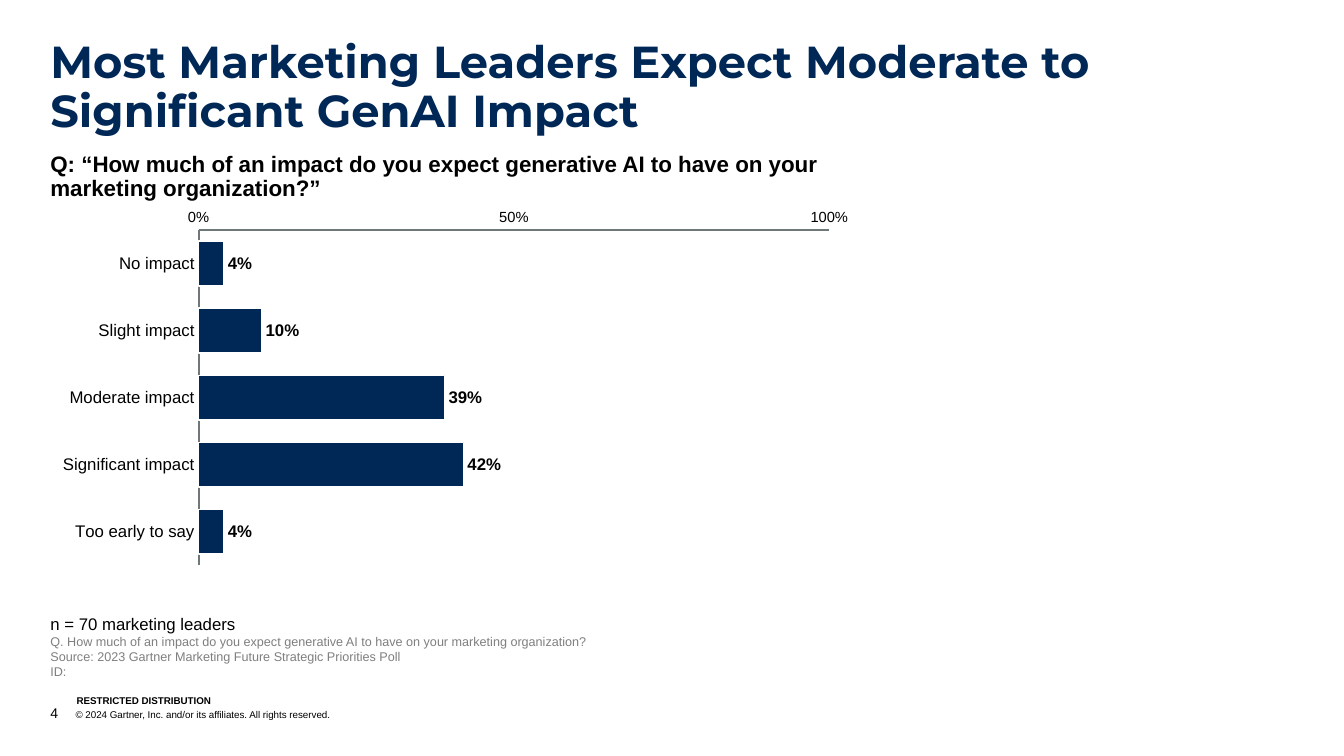
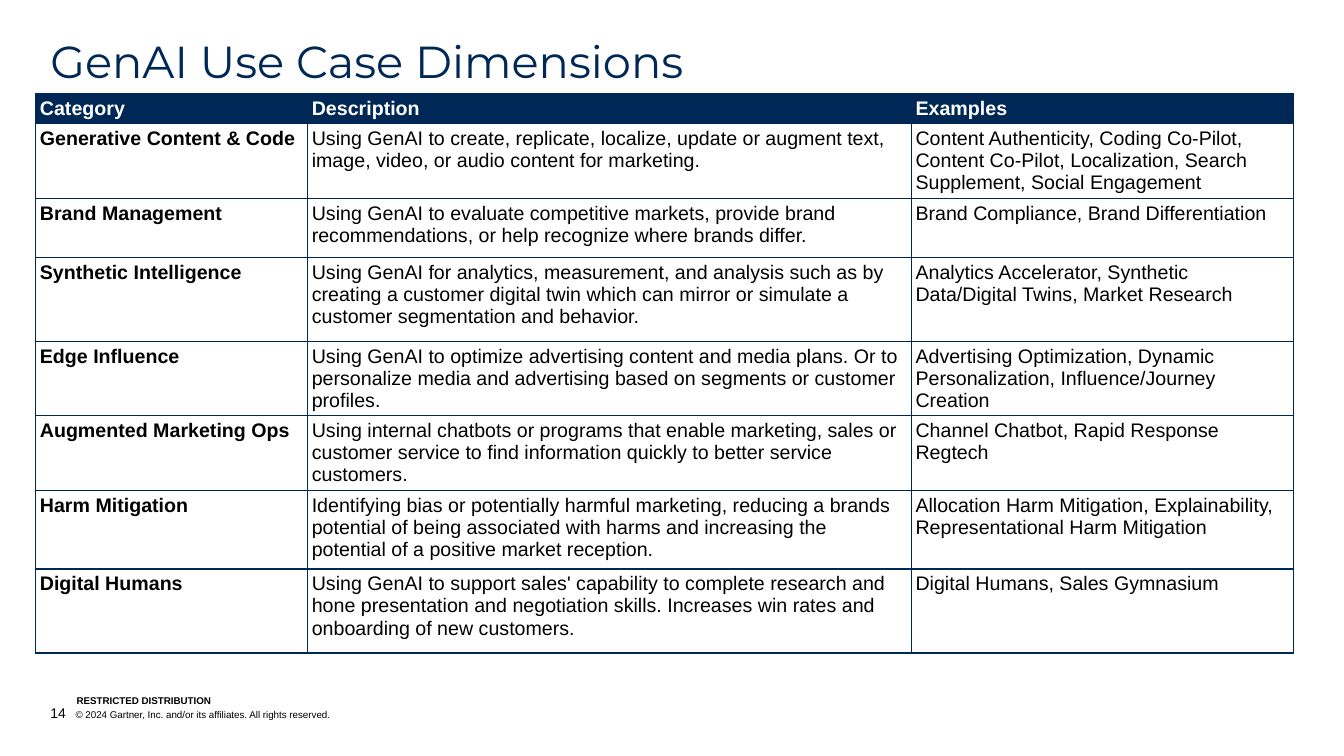
from dataclasses import dataclass
from typing import NamedTuple

from lxml.etree import SubElement
from pptx import Presentation
from pptx.chart.data import CategoryChartData
from pptx.dml.color import RGBColor
from pptx.enum.chart import XL_AXIS_CROSSES as Crosses
from pptx.enum.chart import XL_CHART_TYPE as ChartType
from pptx.enum.chart import XL_LABEL_POSITION as LabelPosition
from pptx.enum.chart import XL_TICK_MARK as TickMark
from pptx.enum.text import MSO_ANCHOR as Anchor
from pptx.enum.text import MSO_AUTO_SIZE as AutoSize
from pptx.enum.text import PP_ALIGN as Align
from pptx.oxml import parse_xml
from pptx.oxml.ns import nsdecls, qn
from pptx.util import Emu, Pt

# Shared style
NAVY = RGBColor(0x00, 0x28, 0x56)
BLACK = RGBColor(0x00, 0x00, 0x00)
WHITE = RGBColor(0xFF, 0xFF, 0xFF)
GREY = RGBColor(0x7F, 0x7F, 0x7F)
AXIS_GREY = RGBColor(0x6F, 0x78, 0x78)
BODY_FONT = "Arial"
TITLE_FONT = "Montserrat"
EMU_PER_PX = 9525
MARGIN = 48
COPYRIGHT = "© 2024 Gartner, Inc. and/or its affiliates. All rights reserved."


class Box(NamedTuple):
    left: int
    top: int
    width: int
    height: int

    def emu(self) -> list[Emu]:
        return [px(length) for length in self]


@dataclass(frozen=True)
class Line:
    text: str
    size: float
    color: RGBColor = BLACK
    bold: bool = False
    spacing: float = 1.0
    font: str = BODY_FONT


class UseCase(NamedTuple):
    category: str
    description: str
    examples: str
    height: int


def px(length: int) -> Emu:
    return Emu(length * EMU_PER_PX)


def style_font(font, size: float, color: RGBColor = BLACK, bold: bool = False,
               name: str = BODY_FONT) -> None:
    font.name = name
    font.size = Pt(size)
    font.bold = bold
    font.color.rgb = color


def write_line(paragraph, line: Line) -> None:
    paragraph.text = line.text
    paragraph.alignment = Align.LEFT
    paragraph.line_spacing = line.spacing
    style_font(paragraph.font, line.size, line.color, line.bold, line.font)


def set_frame(frame, anchor: Anchor, left: int = 0, other: int = 0) -> None:
    frame.word_wrap = True
    frame.auto_size = AutoSize.NONE
    frame.vertical_anchor = anchor
    frame.margin_left = px(left)
    frame.margin_top = frame.margin_right = frame.margin_bottom = px(other)


def add_text(slide, box: Box, lines: list[Line], anchor: Anchor = Anchor.TOP,
             inset: int = 0) -> None:
    frame = slide.shapes.add_textbox(*box.emu()).text_frame
    set_frame(frame, anchor, other=inset)
    for index, line in enumerate(lines):
        paragraph = frame.add_paragraph() if index else frame.paragraphs[0]
        write_line(paragraph, line)


def add_footer(slide, page: int) -> None:
    add_text(slide, Box(73, 661, 243, 12),
             [Line("RESTRICTED DISTRIBUTION", 7, bold=True)], Anchor.BOTTOM)
    frame = slide.shapes.add_textbox(*Box(MARGIN, 671, 767, 16).emu()).text_frame
    set_frame(frame, Anchor.BOTTOM)
    paragraph = frame.paragraphs[0]
    properties = paragraph._p.get_or_add_pPr()
    properties.set("marL", str(px(24)))
    properties.set("indent", str(px(-24)))
    style_font(paragraph.font, 7)
    number = paragraph.add_run()
    number.text = str(page)
    number.font.size = Pt(10)
    paragraph.add_run().text = "\t" + COPYRIGHT


def add_titled_slide(presentation, title: str, page: int, height: int,
                     bold: bool = False):
    slide = presentation.slides.add_slide(presentation.slide_layouts[5])
    shape = slide.shapes.title
    shape.left, shape.top, shape.width, shape.height = Box(MARGIN, 38, 1184, height).emu()
    set_frame(shape.text_frame, Anchor.TOP)
    write_line(shape.text_frame.paragraphs[0],
               Line(title, 32, NAVY, bold, 0.9, TITLE_FONT))
    add_footer(slide, page)
    return slide


# Survey slide
QUESTION = "How much of an impact do you expect generative AI to have on your marketing organization?"
ANSWERS = {
    "No impact": 0.04,
    "Slight impact": 0.10,
    "Moderate impact": 0.39,
    "Significant impact": 0.42,
    "Too early to say": 0.04,
}
PLOT_LAYOUT = {"x": 0.176, "y": 0.075, "w": 0.749, "h": 0.854}


def set_plot_layout(chart) -> None:
    plot_area = chart._chartSpace.find(".//" + qn("c:plotArea"))
    for old_layout in plot_area.findall(qn("c:layout")):
        plot_area.remove(old_layout)
    layout = parse_xml(f"<c:layout {nsdecls('c')}><c:manualLayout/></c:layout>")
    settings = {"layoutTarget": "inner", "xMode": "edge", "yMode": "edge", **PLOT_LAYOUT}
    for tag, value in settings.items():
        SubElement(layout[0], qn(f"c:{tag}")).set("val", str(value))
    plot_area.insert(0, layout)


def style_axis(axis, size: float) -> None:
    axis.has_major_gridlines = False
    axis.major_tick_mark = axis.minor_tick_mark = TickMark.NONE
    axis.format.line.color.rgb = AXIS_GREY
    axis.format.line.width = Pt(1.57)
    style_font(axis.tick_labels.font, size)


def add_answer_chart(slide, box: Box) -> None:
    data = CategoryChartData(number_format="0%")
    data.categories = list(ANSWERS)
    data.add_series("Series 1", list(ANSWERS.values()))
    chart = slide.shapes.add_chart(ChartType.BAR_CLUSTERED, *box.emu(), data).chart
    chart.has_legend = False
    chart.has_title = False
    style_font(chart.font, 10.5)
    set_plot_layout(chart)

    # Axes
    style_axis(chart.category_axis, 12)
    chart.category_axis.reverse_order = True
    chart.category_axis.crosses = Crosses.MAXIMUM
    value_axis = chart.value_axis
    style_axis(value_axis, 10.5)
    value_axis.minimum_scale, value_axis.maximum_scale = 0, 1
    value_axis.major_unit = 0.5
    value_axis.tick_labels.number_format = "0%"
    value_axis.tick_labels.number_format_is_linked = False

    # Bars and labels
    plot = chart.plots[0]
    plot.gap_width = 50
    plot.vary_by_categories = False
    bars = plot.series[0]
    bars.format.fill.solid()
    bars.format.fill.fore_color.rgb = NAVY
    bars.format.line.color.rgb = WHITE
    bars.format.line.width = Pt(1)
    labels = bars.data_labels
    labels.show_value = True
    labels.position = LabelPosition.OUTSIDE_END
    labels.number_format = "0%"
    labels.number_format_is_linked = False
    style_font(labels.font, 12, bold=True)


def build_survey_slide(presentation) -> None:
    slide = add_titled_slide(
        presentation, "Most Marketing Leaders Expect Moderate to Significant GenAI Impact",
        page=4, height=74, bold=True)
    add_answer_chart(slide, Box(MARGIN, 191, 802, 374))
    question = Line(f"Q: “{QUESTION}”", 16, bold=True, spacing=0.9)
    add_text(slide, Box(MARGIN, 136, 768, 66), [question], inset=10)
    notes = [
        Line("n = 70 marketing leaders", 12),
        Line(f"Q. {QUESTION}", 9, GREY),
        Line("Source: 2023 Gartner Marketing Future Strategic Priorities Poll", 9, GREY),
        Line("ID:", 9, GREY),
    ]
    add_text(slide, Box(MARGIN, 574, 768, 83), notes, Anchor.BOTTOM, inset=10)


# Use case slide
COLUMN_WIDTHS = (259, 575, 364)
USE_CASES = [
    UseCase("Category", "Description", "Examples", 29),
    UseCase("Generative Content & Code",
            "Using GenAI to create, replicate, localize, update or augment text, image, "
            "video, or audio content for marketing.",
            "Content Authenticity, Coding Co-Pilot, Content Co-Pilot, Localization, "
            "Search Supplement, Social Engagement", 71),
    UseCase("Brand Management",
            "Using GenAI to evaluate competitive markets, provide brand recommendations, "
            "or help recognize where brands differ.",
            "Brand Compliance, Brand Differentiation", 56),
    UseCase("Synthetic Intelligence",
            "Using GenAI for analytics, measurement, and analysis such as by creating a "
            "customer digital twin which can mirror or simulate a customer segmentation "
            "and behavior.",
            "Analytics Accelerator, Synthetic Data/Digital Twins, Market Research", 80),
    UseCase("Edge Influence",
            "Using GenAI to optimize advertising content and media plans. Or to "
            "personalize media and advertising based on segments or customer profiles.",
            "Advertising Optimization, Dynamic Personalization, Influence/Journey Creation",
            71),
    UseCase("Augmented Marketing Ops",
            "Using internal chatbots or programs that enable marketing, sales or customer "
            "service to find information quickly to better service customers.",
            "Channel Chatbot, Rapid Response Regtech", 71),
    UseCase("Harm Mitigation",
            "Identifying bias or potentially harmful marketing, reducing a brands "
            "potential of being associated with harms and increasing the potential of a "
            "positive market reception.",
            "Allocation Harm Mitigation, Explainability, Representational Harm Mitigation",
            75),
    UseCase("Digital Humans",
            "Using GenAI to support sales' capability to complete research and hone "
            "presentation and negotiation skills. Increases win rates and onboarding of "
            "new customers.",
            "Digital Humans, Sales Gymnasium", 80),
]


def add_borders(cell) -> None:
    properties = cell._tc.get_or_add_tcPr()
    for side in "LRTB":
        properties.append(parse_xml(
            f'<a:ln{side} {nsdecls("a")} w="{Pt(1)}"><a:solidFill>'
            f'<a:srgbClr val="{NAVY}"/></a:solidFill></a:ln{side}>'))


def fill_cell(cell, text: str, is_header: bool, bold: bool) -> None:
    cell.margin_left = cell.margin_right = cell.margin_top = cell.margin_bottom = px(4)
    add_borders(cell)
    if is_header:
        cell.fill.solid()
        cell.fill.fore_color.rgb = NAVY
    else:
        cell.fill.background()
    write_line(cell.text_frame.paragraphs[0],
               Line(text, 14, WHITE if is_header else BLACK, bold))


def build_use_case_slide(presentation) -> None:
    slide = add_titled_slide(presentation, "GenAI Use Case Dimensions", page=14, height=47)
    box = Box(34, 89, sum(COLUMN_WIDTHS), sum(case.height for case in USE_CASES))
    table = slide.shapes.add_table(len(USE_CASES), len(COLUMN_WIDTHS), *box.emu()).table
    table.horz_banding = False
    for column, width in zip(table.columns, COLUMN_WIDTHS):
        column.width = px(width)
    for row_index, (row, case) in enumerate(zip(table.rows, USE_CASES)):
        row.height = px(case.height)
        is_header = row_index == 0
        texts = (case.category, case.description, case.examples)
        for column_index, (cell, text) in enumerate(zip(row.cells, texts)):
            fill_cell(cell, text, is_header, bold=is_header or column_index == 0)


def main() -> None:
    presentation = Presentation()
    presentation.slide_width, presentation.slide_height = px(1280), px(720)
    build_survey_slide(presentation)
    build_use_case_slide(presentation)
    presentation.save("out.pptx")


if __name__ == "__main__":
    main()
